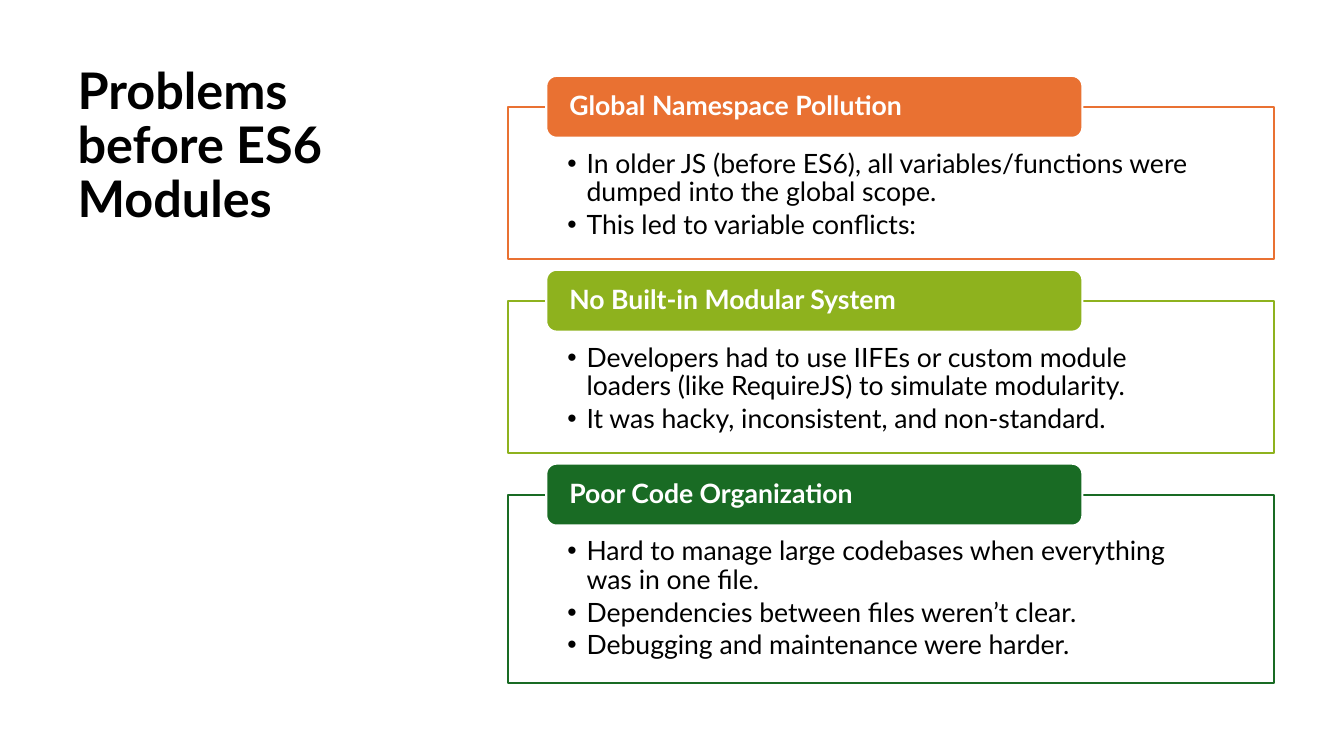
from dataclasses import dataclass

from lxml.etree import SubElement
from pptx import Presentation
from pptx.dml.color import RGBColor
from pptx.enum.shapes import MSO_SHAPE
from pptx.enum.text import MSO_ANCHOR, MSO_AUTO_SIZE, PP_ALIGN
from pptx.oxml.ns import qn
from pptx.shapes.autoshape import Shape
from pptx.slide import Slide
from pptx.text.text import TextFrame, _Paragraph
from pptx.util import Pt

FONT = "Lato"
BLACK, WHITE = "000000", "FFFFFF"
PANEL_LEFT, PANEL_WIDTH = 362.9, 547.2
FIRST_PANEL_TOP, PANEL_GAP = 76.3, 29.8
HEADING_LEFT, HEADING_WIDTH, HEADING_HEIGHT = 390.2, 383, 44.2
HEADING_RISE = 22.1
BULLET_INDENT = 13.7


@dataclass(frozen=True)
class Problem:
    heading: str
    color: str
    height: float
    points: tuple[str, ...]


PROBLEMS = (
    Problem("Global Namespace Pollution", "E97132", 108.7, (
        "In older JS (before ES6), all variables/functions were dumped into the global scope.",
        "This led to variable conflicts:",
    )),
    Problem("No Built-in Modular System", "8EB21E", 108.7, (
        "Developers had to use IIFEs or custom module loaders (like RequireJS) to simulate modularity.",
        "It was hacky, inconsistent, and non-standard.",
    )),
    Problem("Poor Code Organization", "196B24", 134.6, (
        "Hard to manage large codebases when everything was in one file.",
        "Dependencies between files weren’t clear.",
        "Debugging and maintenance were harder.",
    )),
)


def rgb(color: str) -> RGBColor:
    return RGBColor.from_string(color)


def write(paragraph: _Paragraph, text: str, size: float, color: str, bold: bool = False) -> None:
    paragraph.alignment = PP_ALIGN.LEFT
    paragraph.line_spacing = 0.9
    run = paragraph.add_run()
    run.text = text
    run.font.name = FONT
    run.font.size = Pt(size)
    run.font.bold = bold
    run.font.color.rgb = rgb(color)


def add_bullet(paragraph: _Paragraph) -> None:
    properties = paragraph._p.get_or_add_pPr()
    properties.set("marL", str(Pt(BULLET_INDENT)))
    properties.set("indent", str(-Pt(BULLET_INDENT)))
    SubElement(properties, qn("a:buFont"), typeface="Arial")
    SubElement(properties, qn("a:buChar"), char="•")


def set_insets(frame: TextFrame, side: float, top: float, bottom: float) -> None:
    frame.word_wrap = True
    frame.margin_left = frame.margin_right = Pt(side)
    frame.margin_top, frame.margin_bottom = Pt(top), Pt(bottom)


def add_box(slide: Slide, kind: MSO_SHAPE, left: float, top: float, width: float,
            height: float, fill: str, line: str) -> Shape:
    box = slide.shapes.add_shape(kind, Pt(left), Pt(top), Pt(width), Pt(height))
    box.shadow.inherit = False
    box.fill.solid()
    box.fill.fore_color.rgb = rgb(fill)
    box.line.color.rgb = rgb(line)
    box.line.width = Pt(1.5)
    return box


def add_title(slide: Slide, text: str) -> None:
    title = slide.shapes.title
    title.left, title.top, title.width, title.height = Pt(48.2), Pt(43.2), Pt(275), Pt(455.8)
    frame = title.text_frame
    frame.auto_size = MSO_AUTO_SIZE.NONE
    frame.vertical_anchor = MSO_ANCHOR.TOP
    set_insets(frame, 7.2, 3.6, 3.6)
    write(frame.paragraphs[0], text, 36, BLACK, bold=True)


def add_problem(slide: Slide, problem: Problem, top: float) -> None:
    panel = add_box(slide, MSO_SHAPE.RECTANGLE, PANEL_LEFT, top, PANEL_WIDTH,
                    problem.height, WHITE, problem.color)
    details = panel.text_frame
    details.vertical_anchor = MSO_ANCHOR.TOP
    set_insets(details, 42.5, 31, 10.8)
    for index, point in enumerate(problem.points):
        paragraph = details.add_paragraph() if index else details.paragraphs[0]
        write(paragraph, point, 19, BLACK)
        paragraph.space_after = Pt(2.6)
        add_bullet(paragraph)

    heading = add_box(slide, MSO_SHAPE.ROUNDED_RECTANGLE, HEADING_LEFT, top - HEADING_RISE,
                      HEADING_WIDTH, HEADING_HEIGHT, problem.color, WHITE)
    heading.text_frame.vertical_anchor = MSO_ANCHOR.MIDDLE
    set_insets(heading.text_frame, 14.4, 0, 0)
    write(heading.text_frame.paragraphs[0], problem.heading, 19, WHITE, bold=True)


def main() -> None:
    presentation = Presentation()
    presentation.slide_width, presentation.slide_height = Pt(960), Pt(540)
    slide = presentation.slides.add_slide(presentation.slide_layouts.get_by_name("Title Only"))
    add_title(slide, "Problems before ES6 Modules")
    top = FIRST_PANEL_TOP
    for problem in PROBLEMS:
        add_problem(slide, problem, top)
        top += problem.height + PANEL_GAP
    presentation.save("out.pptx")


if __name__ == "__main__":
    main()
